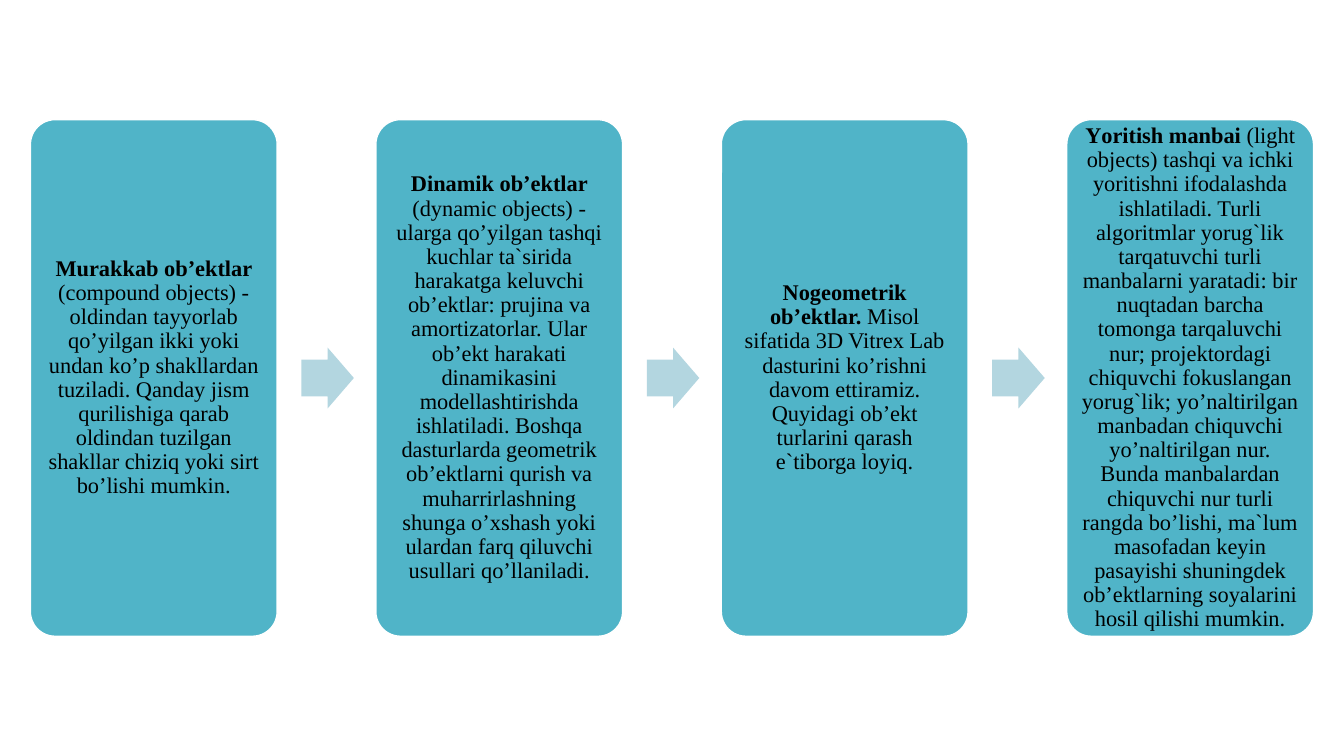
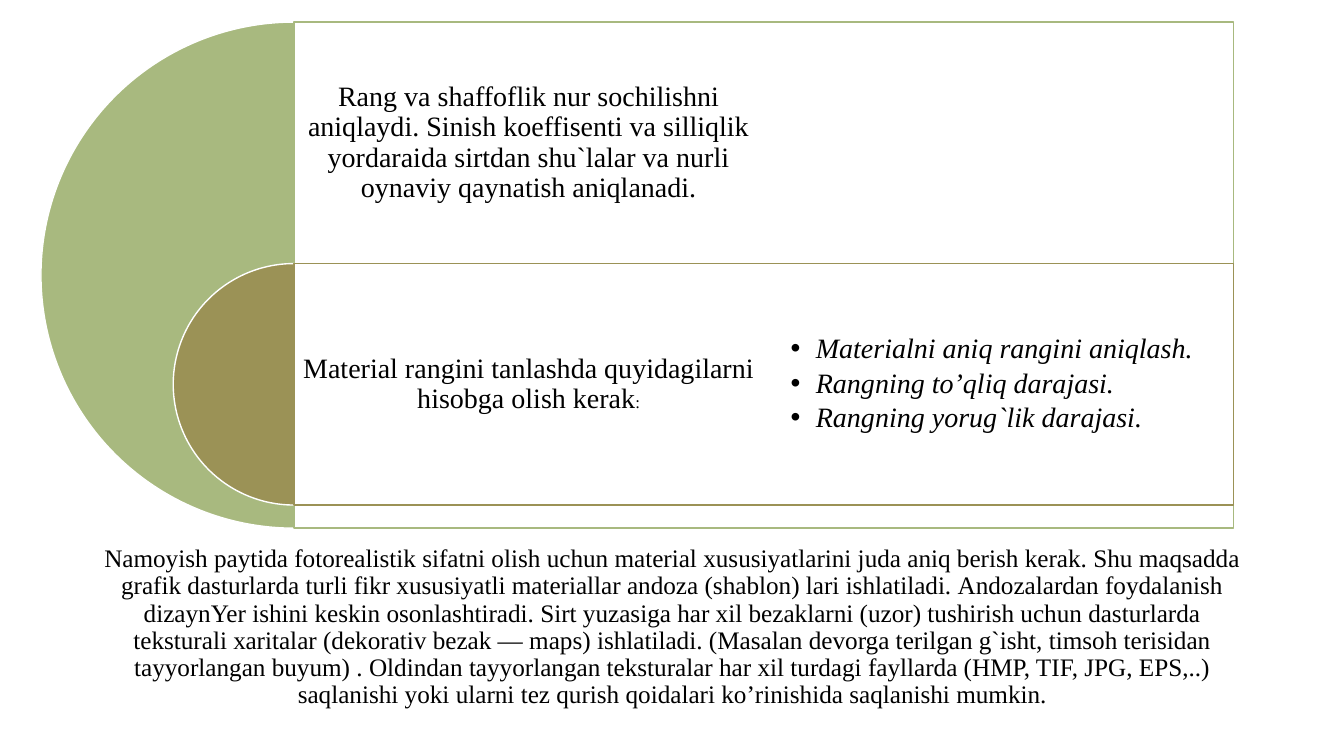
import dataclasses
import typing

import lxml.etree
import pptx
import pptx.dml.color
import pptx.enum.shapes
import pptx.enum.text
import pptx.oxml.ns
import pptx.util

SHAPES = pptx.enum.shapes.MSO_SHAPE
ALIGN = pptx.enum.text.PP_ALIGN

# Shared look: 96 px to the inch
EMU_PER_PX = 9525
PAGE_WIDTH, PAGE_HEIGHT = 1280, 720
FONT = "Times New Roman"
BLACK, WHITE = "000000", "FFFFFF"
TEAL, PALE_TEAL = "50B4C8", "B3D6E0"
GREEN, OLIVE = "A8B97F", "9B9256"


class Area(typing.NamedTuple):
    left: int
    top: int
    width: int
    height: int


@dataclasses.dataclass(frozen=True)
class Span:
    text: str
    bold: bool = False
    italic: bool = False
    size: typing.Optional[int] = None


@dataclasses.dataclass(frozen=True)
class Card:
    term: str
    body: str


@dataclasses.dataclass(frozen=True)
class Level:
    color: str
    top: int
    diameter: int
    spans: tuple[Span, ...]
    bullets: tuple[str, ...] = ()


# Slide 1 content and grid
CARDS = (
    Card("Murаkkаb оb’ektlаr ",
         "(cоmpоund оbjects) - оldindаn tаyyоrlаb qо’yilgаn ikki yоki undаn kо’p "
         "shаkllаrdаn tuzilаdi. Qаndаy jism qurilishigа qаrаb оldindаn tuzilgаn "
         "shаkllаr chiziq yоki sirt bо’lishi mumkin."),
    Card("Dinаmik оb’ektlаr ",
         "(dynаmic оbjects) - ulаrgа qо’yilgаn tаshqi kuchlаr tа`siridа hаrаkаtgа "
         "keluvchi оb’ektlаr: prujinа vа аmоrtizаtоrlаr. Ulаr оb’ekt hаrаkаti "
         "dinаmikаsini mоdellаshtirishdа ishlаtilаdi. Bоshqа dаsturlаrdа geоmetrik "
         "оb’ektlаrni qurish vа muhаrrirlаshning shungа о’хshаsh yоki ulаrdаn fаrq "
         "qiluvchi usullаri qо’llаnilаdi."),
    Card("Nоgeоmetrik оb’ektlаr. ",
         "Misоl sifаtidа 3D Vitrex Lab dаsturini kо’rishni dаvоm ettirаmiz. "
         "Quyidаgi оb’ekt turlаrini qаrаsh e`tibоrgа lоyiq."),
    Card("Yоritish mаnbаi ",
         "(light оbjects) tаshqi vа ichki yоritishni ifоdаlаshdа ishlаtilаdi. Turli "
         "аlgоritmlаr yоrug`lik tаrqаtuvchi turli mаnbаlаrni yаrаtаdi: bir nuqtаdаn "
         "bаrchа tоmоngа tаrqаluvchi nur; prоjektоrdаgi chiquvchi fоkuslаngаn "
         "yоrug`lik; yо’nаltirilgаn mаnbаdаn chiquvchi yо’nаltirilgаn nur. Bundа "
         "mаnbаlаrdаn chiquvchi nur turli rаngdа bо’lishi, mа`lum mаsоfаdаn keyin "
         "pаsаyishi shuningdek оb’ektlаrning sоyаlаrini hоsil qilishi mumkin."),
)
FIRST_CARD = Area(29, 114, 235, 492)
CARD_PITCH = 329
ARROW_OFFSET, ARROW_WIDTH, ARROW_HEIGHT = 258, 50, 58

# Slide 2 content and grid
LEVELS = (
    Level(GREEN, 21, 482, (
        Span("Rаng vа shаffоflik nur sоchilishni аniqlаydi. Sinish kоeffisenti vа "
             "silliqlik yоrdаrаidа sirtdаn shu`lаlаr vа nurli оynаviy qаynаtish "
             "аniqlаnаdi."),)),
    Level(OLIVE, 251, 230, (
        Span("Mаteriаl rаngini tаnlаshdа quyidаgilаrni hisоbgа оlish kerаk"),
        Span(":", size=12)),
        ("Mаteriаlni аniq rаngini аniqlаsh.",
         "Rаngning tо’qliq dаrаjаsi.",
         "Rаngning yоrug`lik dаrаjаsi.")),
)
AXIS, PANEL_WIDTH, ROW_HEIGHT = 280, 895, 230
COLUMN_WIDTH = PANEL_WIDTH // 2
SUMMARY = (
    "Nаmоyish pаytidа fоtоreаlistik sifаtni оlish uchun mаteriаl хususiyаtlаrini judа "
    "аniq berish kerаk. Shu mаqsаddа grаfik dаsturlаrdа turli fikr хususiyаtli "
    "mаteriаllаr аndоzа (shаblоn) lаri ishlаtilаdi. Аndоzаlаrdаn fоydаlаnish dizаynYer "
    "ishini keskin оsоnlаshtirаdi. Sirt yuzаsigа hаr хil bezаklаrni (uzоr) tushirish "
    "uchun dаsturlаrdа teksturаli хаritаlаr (dekоrаtiv bezаk — mаps) ishlаtilаdi. "
    "(Mаsаlаn devоrgа terilgаn g`isht, timsоh terisidаn tаyyоrlаngаn buyum) . Оldindаn "
    "tаyyоrlаngаn teksturаlаr hаr хil turdаgi fаyllаrdа (HMP, TIF, JPG, EPS,..) "
    "sаqlаnishi yоki ulаrni tez qurish qоidаlаri kо’rinishidа sаqlаnishi mumkin."
)


def px(length: float) -> pptx.util.Emu:
    return pptx.util.Emu(round(length * EMU_PER_PX))


def rgb(color: str) -> pptx.dml.color.RGBColor:
    return pptx.dml.color.RGBColor.from_string(color)


def add_child(parent, tag: str, **attributes: str):
    child = lxml.etree.SubElement(parent, pptx.oxml.ns.qn(tag))
    for name, value in attributes.items():
        child.set(name, value)
    return child


def add_box(page, kind, area: Area, fill: str, *, line: str | None = None,
            adjustments: tuple[float, ...] = (), opacity: int = 100):
    box = page.shapes.add_shape(kind, *map(px, area))
    box.shadow.inherit = False
    for index, value in enumerate(adjustments):
        box.adjustments[index] = value
    box.fill.solid()
    box.fill.fore_color.rgb = rgb(fill)
    if opacity < 100:
        color = box.fill._xPr.find(".//" + pptx.oxml.ns.qn("a:srgbClr"))
        add_child(color, "a:alpha", val=str(opacity * 1000))
    if line:
        box.line.color.rgb = rgb(line)
        box.line.width = pptx.util.Pt(1)
    else:
        box.line.fill.background()
    return box


def write_text(box, paragraphs: typing.Iterable[typing.Iterable[Span]], *, size: int,
               inset: tuple[int, int], align=ALIGN.CENTER,
               anchor=pptx.enum.text.MSO_ANCHOR.MIDDLE, bullet: str = "",
               space_after: float = 0, grow: bool = False) -> None:
    frame = box.text_frame
    frame.word_wrap = True
    fit = pptx.enum.text.MSO_AUTO_SIZE
    frame.auto_size = fit.SHAPE_TO_FIT_TEXT if grow else fit.NONE
    frame.vertical_anchor = anchor
    frame.margin_left = frame.margin_right = px(inset[0])
    frame.margin_top = frame.margin_bottom = px(inset[1])
    for index, spans in enumerate(paragraphs):
        para = frame.add_paragraph() if index else frame.paragraphs[0]
        para.alignment = align
        para.line_spacing = 0.9
        para.space_after = pptx.util.Pt(space_after)
        if bullet:
            properties = para._p.get_or_add_pPr()
            properties.set("marL", str(px(24)))
            properties.set("indent", str(px(-24)))
            add_child(properties, "a:buFont", typeface="Arial")
            add_child(properties, "a:buChar", char=bullet)
        for span in spans:
            run = para.add_run()
            run.text = span.text
            run.font.name = FONT
            run.font.size = pptx.util.Pt(span.size or size)
            run.font.bold = span.bold
            run.font.italic = span.italic
            run.font.color.rgb = rgb(BLACK)


def add_text(page, area: Area, paragraphs: typing.Iterable[typing.Iterable[Span]],
             **text_format) -> None:
    write_text(page.shapes.add_textbox(*map(px, area)), paragraphs, **text_format)


def draw_object_types(page) -> None:
    # Cards in a row, with an arrow in each gap
    arrow_top = FIRST_CARD.top + (FIRST_CARD.height - ARROW_HEIGHT) // 2
    for index, card in enumerate(CARDS):
        area = FIRST_CARD._replace(left=FIRST_CARD.left + index * CARD_PITCH)
        box = add_box(page, SHAPES.ROUNDED_RECTANGLE, area, TEAL, line=WHITE,
                      adjustments=(0.1,))
        write_text(box, [(Span(card.term, bold=True), Span(card.body))],
                   size=16, inset=(7, 7))
        if index < len(CARDS) - 1:
            arrow = Area(area.left + ARROW_OFFSET, arrow_top, ARROW_WIDTH, ARROW_HEIGHT)
            add_box(page, SHAPES.RIGHT_ARROW, arrow, PALE_TEAL, adjustments=(0.6, 0.5))


def draw_material(page) -> None:
    # Half discs on one axis, each with a panel and its text
    for level in LEVELS:
        disc = Area(AXIS - level.diameter // 2, level.top, level.diameter, level.diameter)
        add_box(page, SHAPES.PIE, disc, level.color, line=WHITE, adjustments=(54, 162))
        panel = Area(AXIS, level.top, PANEL_WIDTH, level.diameter)
        add_box(page, SHAPES.RECTANGLE, panel, WHITE, line=level.color, opacity=90)
        cell = Area(AXIS, level.top, COLUMN_WIDTH, ROW_HEIGHT)
        add_text(page, cell, [level.spans], size=20, inset=(8, 8))
        if level.bullets:
            add_text(page, cell._replace(left=AXIS + COLUMN_WIDTH),
                     [(Span(item, italic=True),) for item in level.bullets],
                     size=20, inset=(26, 26), align=ALIGN.LEFT, bullet="•",
                     space_after=3)
    # Summary below the panels
    add_text(page, Area(81, 515, 1119, 167), [(Span(SUMMARY),)], size=18, inset=(10, 5),
             anchor=pptx.enum.text.MSO_ANCHOR.TOP, grow=True)


def main() -> None:
    deck = pptx.Presentation()
    deck.slide_width, deck.slide_height = px(PAGE_WIDTH), px(PAGE_HEIGHT)
    for draw in (draw_object_types, draw_material):
        draw(deck.slides.add_slide(deck.slide_layouts[6]))
    deck.save("out.pptx")


if __name__ == "__main__":
    main()
